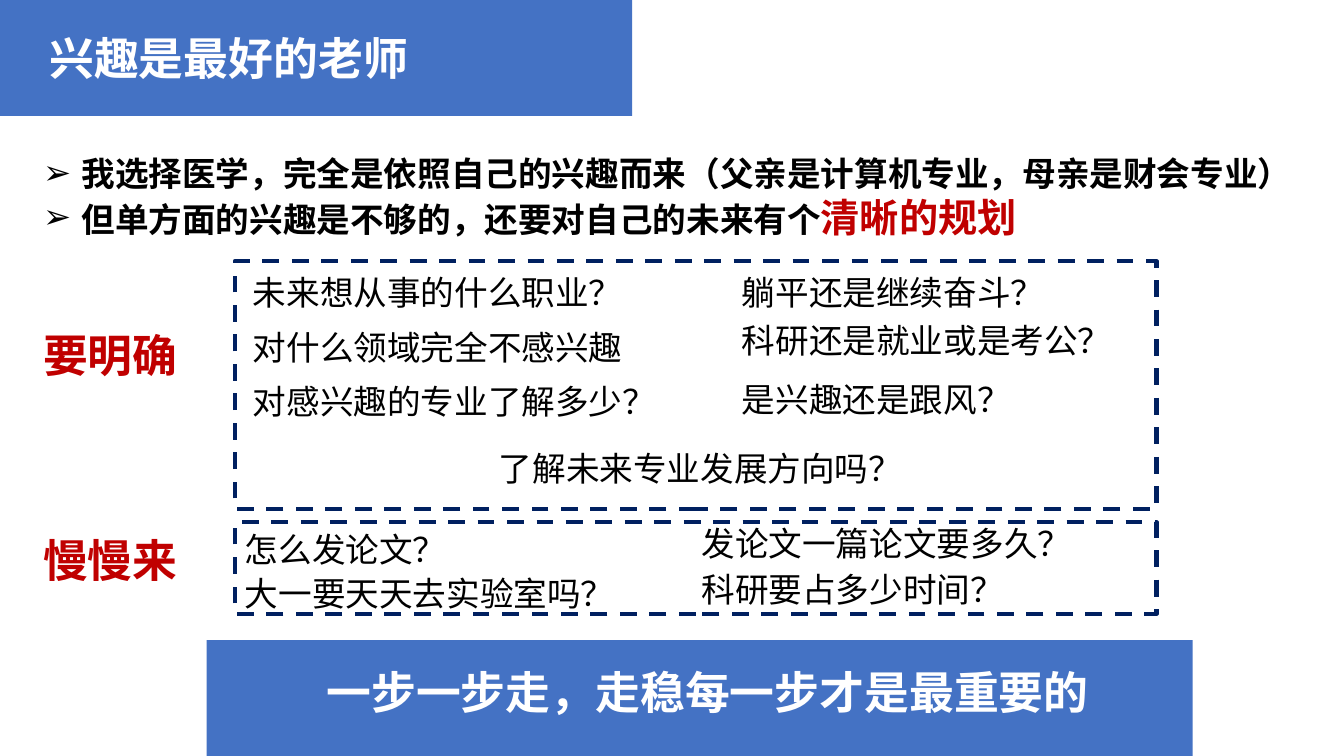
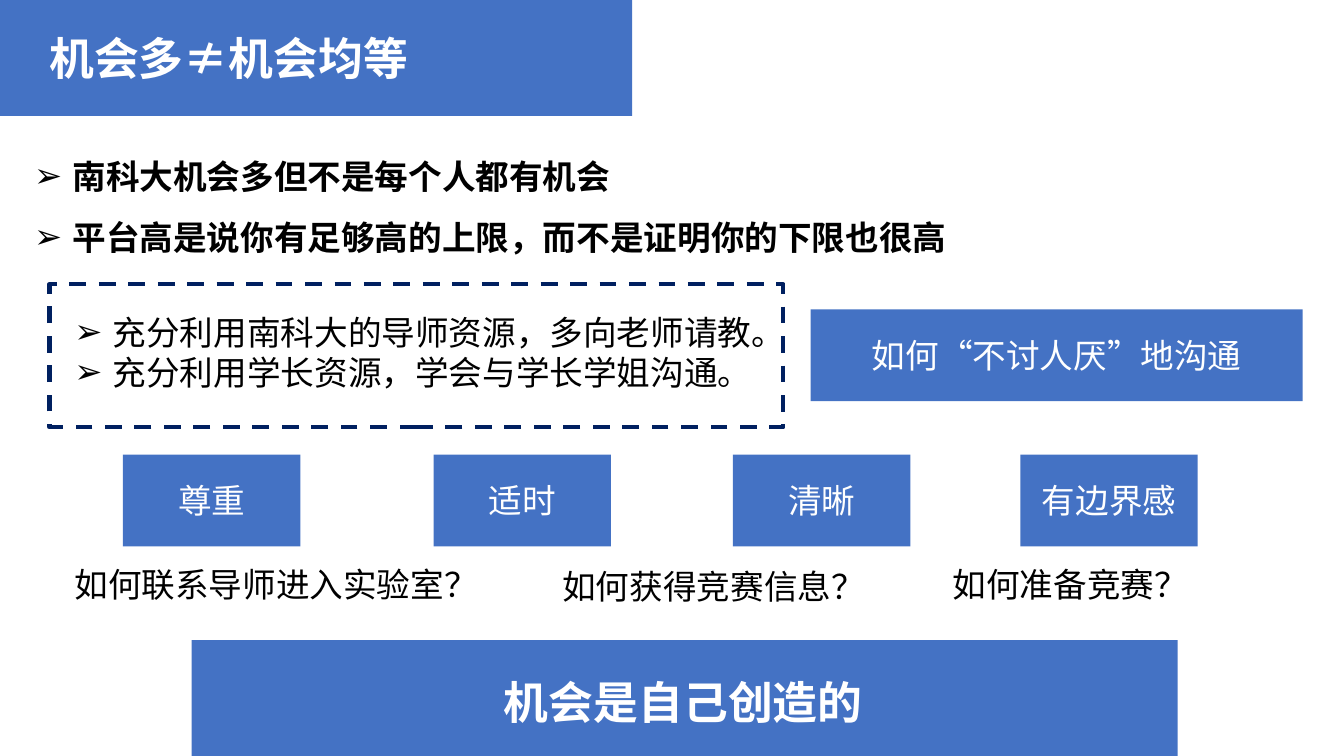
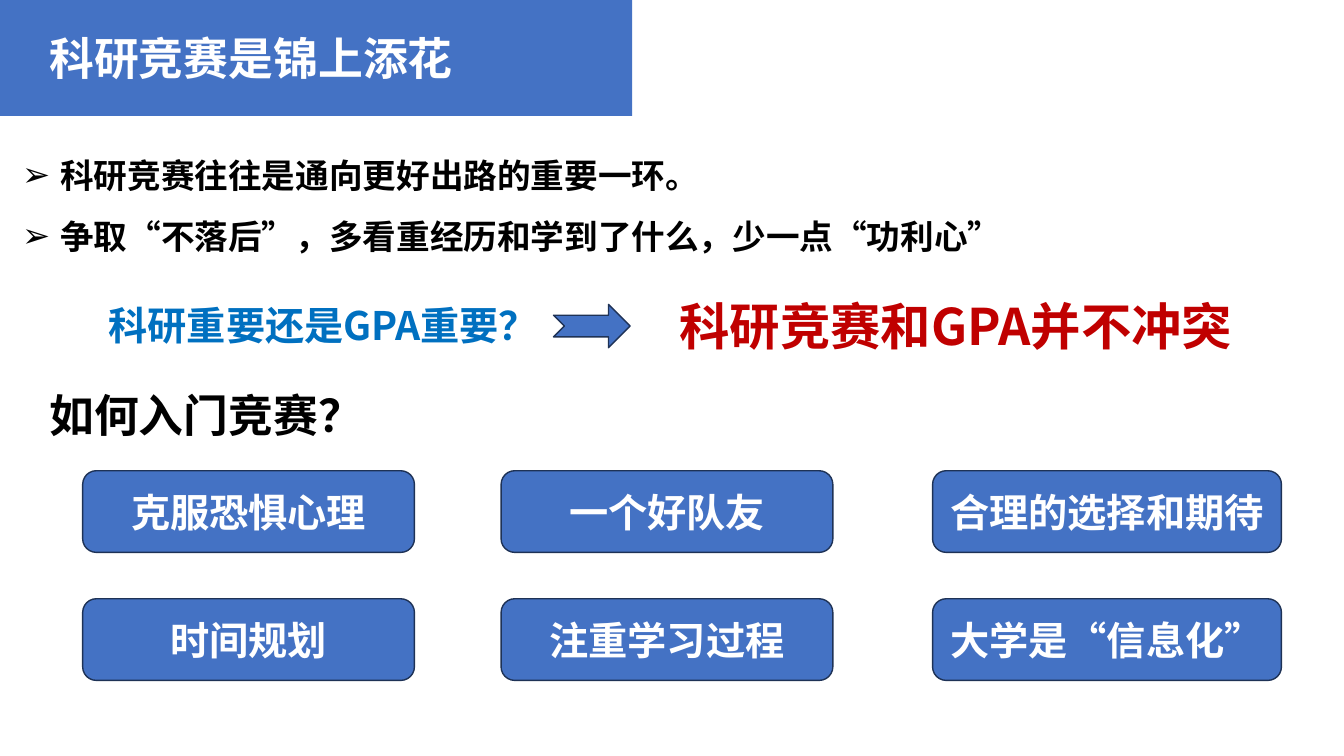
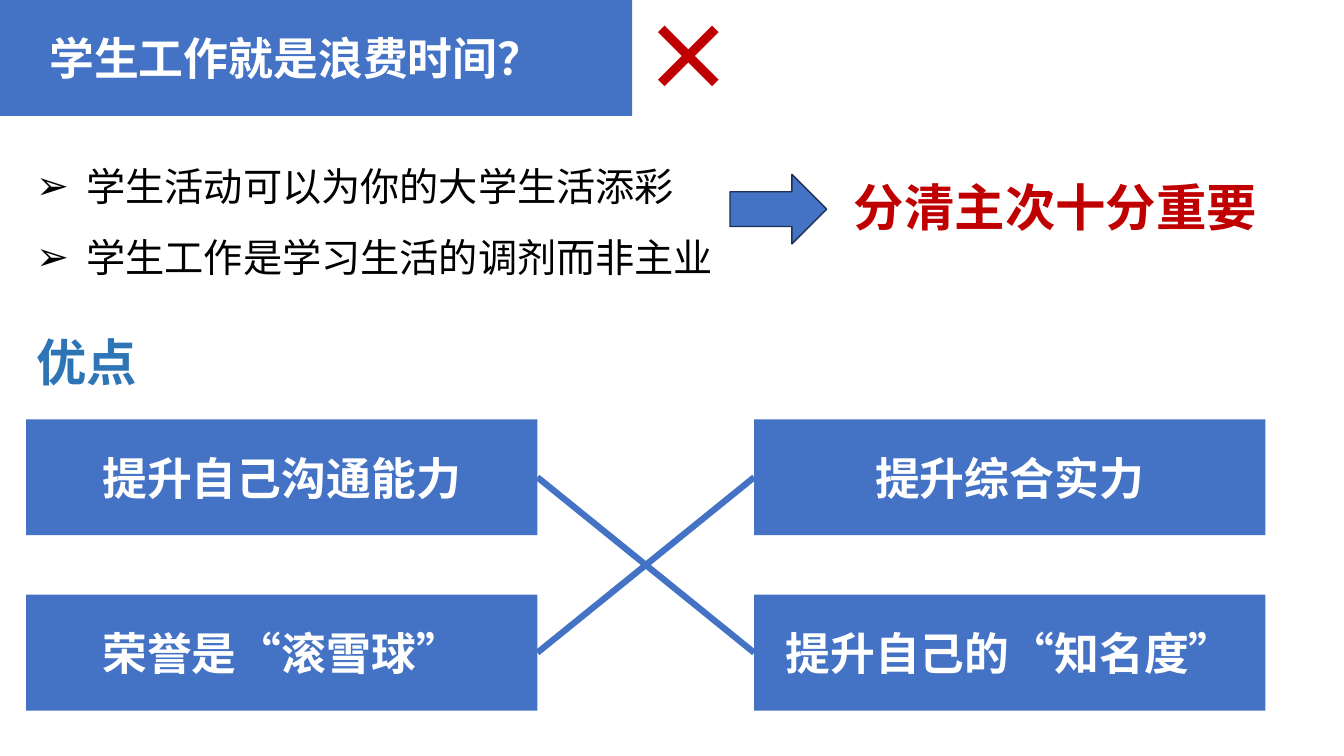
from dataclasses import dataclass

from lxml.etree import SubElement
from pptx import Presentation
from pptx.dml.color import RGBColor
from pptx.enum.dml import MSO_LINE
from pptx.enum.shapes import MSO_CONNECTOR, MSO_SHAPE
from pptx.enum.text import MSO_ANCHOR, PP_ALIGN
from pptx.oxml.ns import qn
from pptx.util import Inches, Pt


@dataclass(frozen=True)
class Theme:
    font: str = "Noto Sans CJK SC"
    blue: str = "4472C4"
    outline: str = "1E3256"
    navy: str = "002060"
    red: str = "C00000"
    sky: str = "0070C0"
    steel: str = "2E75B6"
    black: str = "000000"
    white: str = "FFFFFF"
    body: int = 24
    large: int = 28
    title: int = 32
    display: int = 36
    mark: int = 66


THEME = Theme()


@dataclass(frozen=True)
class Box:
    left: float
    top: float
    width: float
    height: float

    def inner(self, left, top, width, height):
        """A box placed relative to this one."""
        return Box(self.left + left, self.top + top, width, height)

    def lengths(self):
        return [Inches(value) for value in (self.left, self.top, self.width, self.height)]


# Text
def add_span(para, text, size=THEME.body, color=THEME.black, bold=False):
    span = para.add_run()
    span.text = text
    span.font.name = THEME.font
    span.font.size = Pt(size)
    span.font.bold = bold
    span.font.color.rgb = RGBColor.from_string(color)
    SubElement(span.font._element, qn("a:ea")).set("typeface", THEME.font)


def add_text(shapes, box, text, align=PP_ALIGN.LEFT, **style):
    frame = shapes.add_textbox(*box.lengths()).text_frame
    frame.word_wrap = True
    para = frame.paragraphs[0]
    para.alignment = align
    add_span(para, text, **style)


def add_bullets(shapes, box, items, indent=0.38, spacing=None, **style):
    """Each item is a list of (text, style changes) spans."""
    frame = shapes.add_textbox(*box.lengths()).text_frame
    frame.word_wrap = True
    for index, spans in enumerate(items):
        para = frame.paragraphs[0] if index == 0 else frame.add_paragraph()
        if spacing:
            para.line_spacing = spacing
        layout = para._p.get_or_add_pPr()
        layout.set("marL", str(Inches(indent)))
        layout.set("indent", str(-Inches(indent)))
        SubElement(layout, qn("a:buFont")).set("typeface", "Arial")
        SubElement(layout, qn("a:buChar")).set("char", "➢")
        for text, changes in spans:
            add_span(para, text, **{**style, **changes})


# Shapes
def add_block(shapes, box, text="", kind=MSO_SHAPE.RECTANGLE, outlined=False, **style):
    block = shapes.add_shape(kind, *box.lengths())
    block.shadow.inherit = False
    block.fill.solid()
    block.fill.fore_color.rgb = RGBColor.from_string(THEME.blue)
    if outlined:
        block.line.color.rgb = RGBColor.from_string(THEME.outline)
        block.line.width = Pt(1)
    else:
        block.line.fill.background()
    if text:
        block.text_frame.word_wrap = True
        block.text_frame.vertical_anchor = MSO_ANCHOR.MIDDLE
        para = block.text_frame.paragraphs[0]
        para.alignment = PP_ALIGN.CENTER
        add_span(para, text, color=THEME.white, **style)
    return block


def add_dashed_frame(shapes, box):
    frame = shapes.add_shape(MSO_SHAPE.RECTANGLE, *box.lengths())
    frame.shadow.inherit = False
    frame.fill.background()
    frame.line.color.rgb = RGBColor.from_string(THEME.navy)
    frame.line.width = Pt(3)
    frame.line.dash_style = MSO_LINE.DASH


def add_link(shapes, start, end):
    """Join the right side of start to the left side of end."""
    link = shapes.add_connector(MSO_CONNECTOR.STRAIGHT, 0, 0, 0, 0)
    link.begin_connect(start, 3)
    link.end_connect(end, 1)
    link.line.color.rgb = RGBColor.from_string(THEME.blue)
    link.line.width = Pt(4.5)
    SubElement(link._element.spPr, qn("a:effectLst"))


# Regions
def add_page(deck, title):
    shapes = deck.slides.add_slide(deck.slide_layouts[6]).shapes
    band = Box(0, 0, 6.27, 1.15)
    add_block(shapes, band)
    add_text(shapes, band.inner(0.39, 0.26, 5.88, 0.64), title,
             size=THEME.title, color=THEME.white, bold=True)
    return shapes


def add_closing_band(shapes, box, text, left, top):
    add_block(shapes, box)
    add_text(shapes, box.inner(left, top, box.width - left, 0.64), text,
             size=THEME.title, color=THEME.white, bold=True)


def add_question_frame(shapes, box, label, label_top, questions):
    for left, top, text in questions:
        add_text(shapes, box.inner(left, top, 5.2, 0.5), text)
    add_text(shapes, box.inner(-2, label_top, 1.56, 0.64), label,
             size=THEME.title, color=THEME.red, bold=True)
    add_dashed_frame(shapes, box)


def add_advice_group(shapes, box, items):
    group = shapes.add_group_shape().shapes
    add_bullets(group, box.inner(0.15, 0.22, 7.51, 0.91), items)
    add_dashed_frame(group, box)


def add_card_grid(shapes, box, columns, row_step, height, rows, **style):
    """Columns are (offset, width) pairs; returns the cards row by row."""
    return [
        [add_block(shapes, box.inner(left, index * row_step, width, height), text, **style)
         for (left, width), text in zip(columns, row)]
        for index, row in enumerate(rows)
    ]


# Slides
def build_interest(deck):
    shapes = add_page(deck, "兴趣是最好的老师")
    add_bullets(shapes, Box(0.33, 1.47, 13, 0.98), [
        [("我选择医学，完全是依照自己的兴趣而来（父亲是计算机专业，母亲是财会专业）", {})],
        [("但单方面的兴趣是不够的，还要对自己的未来有个", {}),
         ("清晰的规划", {"size": THEME.large, "color": THEME.red})],
    ], bold=True)
    add_question_frame(shapes, Box(2.33, 2.59, 9.14, 2.46), "要明确", 0.61, [
        (0.08, 0.06, "未来想从事的什么职业？"),
        (0.08, 0.6, "对什么领域完全不感兴趣"),
        (0.08, 1.14, "对感兴趣的专业了解多少？"),
        (4.93, 0.06, "躺平还是继续奋斗？"),
        (4.93, 0.53, "科研还是就业或是考公？"),
        (4.93, 1.12, "是兴趣还是跟风？"),
        (2.52, 1.8, "了解未来专业发展方向吗？"),
    ])
    add_question_frame(shapes, Box(2.33, 5.18, 9.14, 0.91), "慢慢来", 0.06, [
        (0, 0.02, "怎么发论文？"),
        (0, 0.45, "大一要天天去实验室吗？"),
        (4.53, -0.04, "发论文一篇论文要多久？"),
        (4.53, 0.41, "科研要占多少时间？"),
    ])
    add_closing_band(shapes, Box(2.05, 6.35, 9.78, 1.15),
                     "一步一步走，走稳每一步才是最重要的", 1.09, 0.2)


def build_opportunity(deck):
    shapes = add_page(deck, "机会多≠机会均等")
    add_bullets(shapes, Box(0.24, 1.3, 13.09, 1.24), [
        [("南科大机会多但不是每个人都有机会", {})],
        [("平台高是说你有足够高的上限，而不是证明你的下限也很高", {})],
    ], spacing=1.5, bold=True)
    add_advice_group(shapes, Box(0.49, 2.82, 7.28, 1.42), [
        [("充分利用南科大的导师资源，多向老师请教。", {})],
        [("充分利用学长资源，学会与学长学姐沟通。", {})],
    ])
    add_block(shapes, Box(8.04, 3.07, 4.88, 0.91), "如何“不讨人厌”地沟通")
    add_card_grid(shapes, Box(1.22, 4.51, 10.66, 0.91),
                  [(left, 1.76) for left in (0, 3.08, 6.05, 8.9)], 0, 0.91,
                  [("尊重", "适时", "清晰", "有边界感")])
    for left, top, text in [(0.64, 5.55, "如何联系导师进入实验室？"),
                            (5.48, 5.57, "如何获得竞赛信息？"),
                            (9.35, 5.55, "如何准备竞赛？")]:
        add_text(shapes, Box(left, top, 3.9 if left > 9 else 4.86, 0.5), text)
    add_closing_band(shapes, Box(1.9, 6.35, 9.78, 1.15), "机会是自己创造的", 3, 0.29)


def build_competition(deck):
    shapes = add_page(deck, "科研竞赛是锦上添花")
    add_bullets(shapes, Box(0.12, 1.29, 13.09, 1.85), [
        [("科研竞赛往往是通向更好出路的重要一环。", {})],
        [("争取“不落后”，多看重经历和学到了什么，少一点“功利心”", {})],
    ], spacing=1.5, bold=True)
    # Question, arrow and answer
    add_text(shapes, Box(6.13, 2.88, 6.7, 0.71), "科研竞赛和GPA并不冲突",
             align=PP_ALIGN.CENTER, size=THEME.display, color=THEME.red, bold=True)
    add_text(shapes, Box(0.98, 2.94, 4.64, 0.57), "科研重要还是GPA重要？",
             size=THEME.large, color=THEME.sky, bold=True)
    add_block(shapes, Box(5.49, 3.02, 0.76, 0.43),
              kind=MSO_SHAPE.NOTCHED_RIGHT_ARROW, outlined=True)
    # Ways in
    add_text(shapes, Box(0.39, 3.8, 5.14, 0.64), "如何入门竞赛？",
             size=THEME.title, bold=True)
    add_card_grid(shapes, Box(0.82, 4.67, 11.89, 2.08),
                  [(0, 3.29), (4.15, 3.29), (8.43, 3.46)], 1.27, 0.81, [
                      ("克服恐惧心理", "一个好队友", "合理的选择和期待"),
                      ("时间规划", "注重学习过程", "大学是“信息化”"),
                  ], kind=MSO_SHAPE.ROUNDED_RECTANGLE, outlined=True,
                  size=THEME.large, bold=True)


def build_student_work(deck):
    shapes = add_page(deck, "学生工作就是浪费时间？")
    add_text(shapes, Box(6.27, -0.06, 6.67, 1.21), "×",
             size=THEME.mark, color=THEME.red, bold=True)
    add_bullets(shapes, Box(0.26, 1.33, 8.11, 1.43), [
        [("学生活动可以为你的大学生活添彩", {})],
        [("学生工作是学习生活的调剂而非主业", {})],
    ], indent=0.5, spacing=1.5, size=THEME.large)
    add_block(shapes, Box(7.24, 1.73, 0.96, 0.69), kind=MSO_SHAPE.RIGHT_ARROW, outlined=True)
    add_text(shapes, Box(8.37, 1.7, 4.47, 0.71), "分清主次十分重要",
             size=THEME.display, color=THEME.red, bold=True)
    # Benefits, linked crosswise
    add_text(shapes, Box(0.26, 3.24, 3.22, 0.71), "优点",
             size=THEME.display, color=THEME.steel, bold=True)
    upper, lower = add_card_grid(
        shapes, Box(0.26, 4.16, 12.29, 2.89), [(0, 5.07), (7.22, 5.07)], 1.74, 1.15,
        [("提升自己沟通能力", "提升综合实力"), ("荣誉是“滚雪球”", "提升自己的“知名度”")],
        size=THEME.title, bold=True)
    add_link(shapes, upper[0], lower[1])
    add_link(shapes, lower[0], upper[1])


def main():
    deck = Presentation()
    deck.slide_width = Inches(13.33)
    deck.slide_height = Inches(7.5)
    for build in (build_interest, build_opportunity, build_competition, build_student_work):
        build(deck)
    deck.save("out.pptx")


if __name__ == "__main__":
    main()
